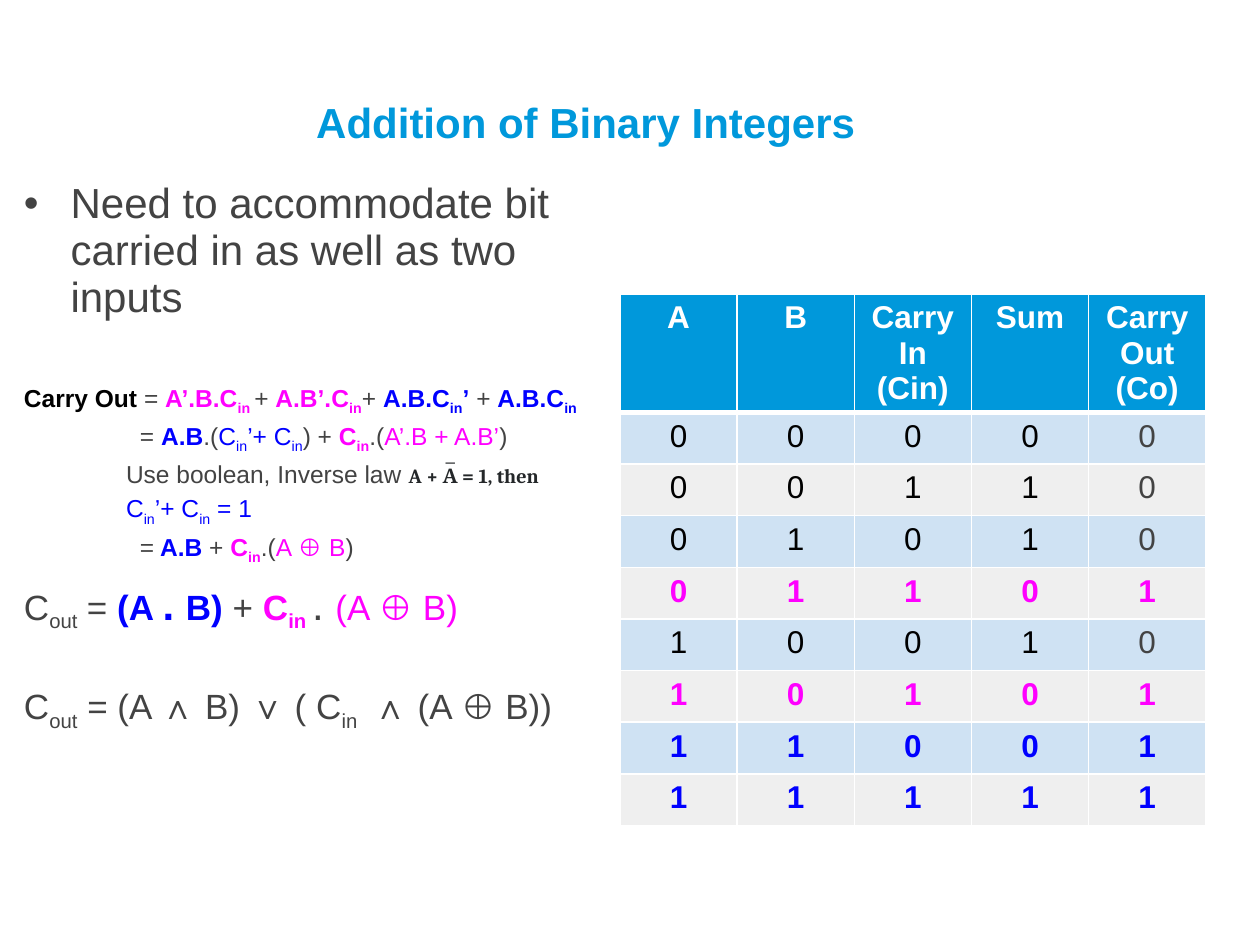
from lxml.etree import SubElement
from pptx import Presentation
from pptx.dml.color import RGBColor
from pptx.enum.text import MSO_ANCHOR, MSO_AUTO_SIZE, PP_ALIGN
from pptx.oxml import parse_xml
from pptx.oxml.ns import nsdecls, qn
from pptx.util import Inches, Pt

THEME = {
    "accent": "0098DB", "white": "FFFFFF", "grey": "434343", "black": "000000",
    "pink": "FF00FF", "blue": "0000FF", "ink": "242729",
    "band": ("EFEFEF", "CFE2F3"),
    "font": "Arial", "law_font": "Cambria",
    "heading": 24, "formula": 20, "cell": 18, "step": 14, "law": 11.5,
}


def add_text(p, text, color, size, bold=False, font="font"):
    for i, part in enumerate(text.split("_")):
        if not part:
            continue
        r = p.add_run()
        r.text = part
        fmt = {"name": THEME[font], "size": Pt(THEME[size]), "bold": bold}
        for name, value in fmt.items():
            setattr(r.font, name, value)
        r.font.color.rgb = RGBColor.from_string(THEME[color])
        if i % 2:
            r._r.get_or_add_rPr().set("baseline", "-25000")


prs = Presentation()
prs.slide_width, prs.slide_height = Inches(10), Inches(7.5)
col, row = prs.slide_width / 100, prs.slide_height / 100
s = prs.slides.add_slide(prs.slide_layouts[1])
title, body = s.placeholders[0], s.placeholders[1]

for sp, (x, y, w, h), anchor in (
    (title, (24.1, 9.3, 58.8, 6.9), MSO_ANCHOR.BOTTOM),
    (body, (0.9, 18.5, 48.3, 79), MSO_ANCHOR.TOP),
):
    place = {"left": x * col, "top": y * row, "width": w * col, "height": h * row}
    for name, value in place.items():
        setattr(sp, name, int(value))
    frame = {"auto_size": MSO_AUTO_SIZE.NONE, "vertical_anchor": anchor, "word_wrap": True}
    for name, value in frame.items():
        setattr(sp.text_frame, name, value)

p = title.text_frame.paragraphs[0]
p.alignment = PP_ALIGN.LEFT
add_text(p, "Addition of Binary Integers", "accent", "heading", True)

paragraphs = [
    ({"left": 3.7, "hang": -4, "line": 0.93, "bullet": True}, [
        ("Need to accommodate bit carried in as well as two inputs", "grey", "heading")]),
    ({"line": 1.15, "before": 32}, [
        ("Carry Out", "black", "step", True), (" = ", "grey", "step"),
        ("A’.B.C_in _", "pink", "step", True), ("+ ", "grey", "step"),
        ("A.B’.C_in_", "pink", "step", True), ("+ ", "grey", "step"),
        ("A.B.C_in_’", "blue", "step", True), (" + ", "grey", "step"),
        ("A.B.C_in_", "blue", "step", True)]),
    ({"left": 9.2, "line": 1.15}, [
        ("= ", "grey", "step"), ("A.B", "blue", "step", True), (".(", "grey", "step"),
        ("C_in_’+ C_in_", "blue", "step"), (") + ", "grey", "step"),
        ("C_in_", "pink", "step", True), (".(", "grey", "step"),
        ("A’.B + A.B’", "pink", "step"), (")", "grey", "step")]),
    ({"left": 8.1, "line": 1.15}, [
        ("Use boolean, Inverse law ", "grey", "step"),
        ("A + A̅ = 1, then", "ink", "law", True, "law_font")]),
    ({"left": 8.1, "line": 1.15}, [("C_in_’+ C_in_ = 1", "blue", "step")]),
    ({"left": 9.2, "line": 1.15}, [
        ("=", "grey", "step"), (" A.B", "blue", "step", True), (" + ", "grey", "step"),
        ("C_in_", "pink", "step", True), (".(", "grey", "step"),
        ("A ⊕ B", "pink", "step"), (")", "grey", "step")]),
    ({"line": 0.93, "before": 8, "level": 1, "tab": 8.8}, [
        ("C_out_\t= ", "grey", "formula"), ("(A ", "blue", "formula", True),
        (". ", "blue", "heading", True), ("B)", "blue", "formula", True),
        (" + ", "grey", "formula"), ("C_in _", "pink", "formula", True),
        (". ", "grey", "heading"), ("(A ⊕ B)", "pink", "formula")]),
    ({"line": 0.93, "before": 31, "level": 2}, [
        ("C_out_ = (A ∧ B) ∨ ( C_in _ ∧ (A ⊕ B))", "grey", "formula")]),
]

tf = body.text_frame
for i, (layout, runs) in enumerate(paragraphs):
    p = tf.add_paragraph() if i else tf.paragraphs[0]
    fmt = {"level": layout.get("level", 0), "alignment": PP_ALIGN.LEFT,
           "line_spacing": layout["line"], "space_before": Pt(layout.get("before", 0)),
           "space_after": Pt(0)}
    for name, value in fmt.items():
        setattr(p, name, value)
    pPr = p._p.get_or_add_pPr()
    pPr.set("marL", str(int(layout.get("left", 0) * col)))
    pPr.set("indent", str(int(layout.get("hang", 0) * col)))
    if "bullet" in layout:
        SubElement(SubElement(pPr, qn("a:buClr")), qn("a:srgbClr"), val=THEME["grey"])
        SubElement(pPr, qn("a:buFont"), typeface=THEME["font"])
        SubElement(pPr, qn("a:buChar"), char="•")
    else:
        SubElement(pPr, qn("a:buNone"))
    if "tab" in layout:
        tabs = SubElement(pPr, qn("a:tabLst"))
        SubElement(tabs, qn("a:tab"), pos=str(int(layout["tab"] * col)), algn="l")
    for run in runs:
        add_text(p, *run)

rows = [
    (("A", "B", "Carry In (Cin)", "Sum", "Carry Out (Co)"), "white"),
    ("00000", "black"), ("00110", "black"), ("01010", "black"), ("01101", "pink"),
    ("10010", "black"), ("10101", "pink"), ("11001", "blue"), ("11111", "blue"),
]
cell_w, cell_h = Inches(0.93), Inches(0.41)
table = s.shapes.add_table(len(rows), 5, int(49.2 * col), int(31.1 * row),
                           5 * cell_w, len(rows) * cell_h).table
for c in table.columns:
    c.width = cell_w
for i, (values, color) in enumerate(rows):
    table.rows[i].height = cell_h
    for j, value in enumerate(values):
        cell = table.cell(i, j)
        cell.fill.solid()
        fill = THEME["band"][i % 2] if i else THEME["accent"]
        cell.fill.fore_color.rgb = RGBColor.from_string(fill)
        p = cell.text_frame.paragraphs[0]
        p.alignment = PP_ALIGN.CENTER
        ink = "grey" if color == "black" and j == 4 else color
        add_text(p, value, ink, "cell", color != "black")
        for k, side in enumerate("LRTB"):
            width = Pt(3 if (i, side) in ((0, "B"), (1, "T")) else 1)
            cell._tc.get_or_add_tcPr().insert(k, parse_xml(
                f'<a:ln{side} {nsdecls("a")} w="{width}"><a:solidFill>'
                f'<a:srgbClr val="{THEME["white"]}"/></a:solidFill></a:ln{side}>'))

prs.save("out.pptx")
